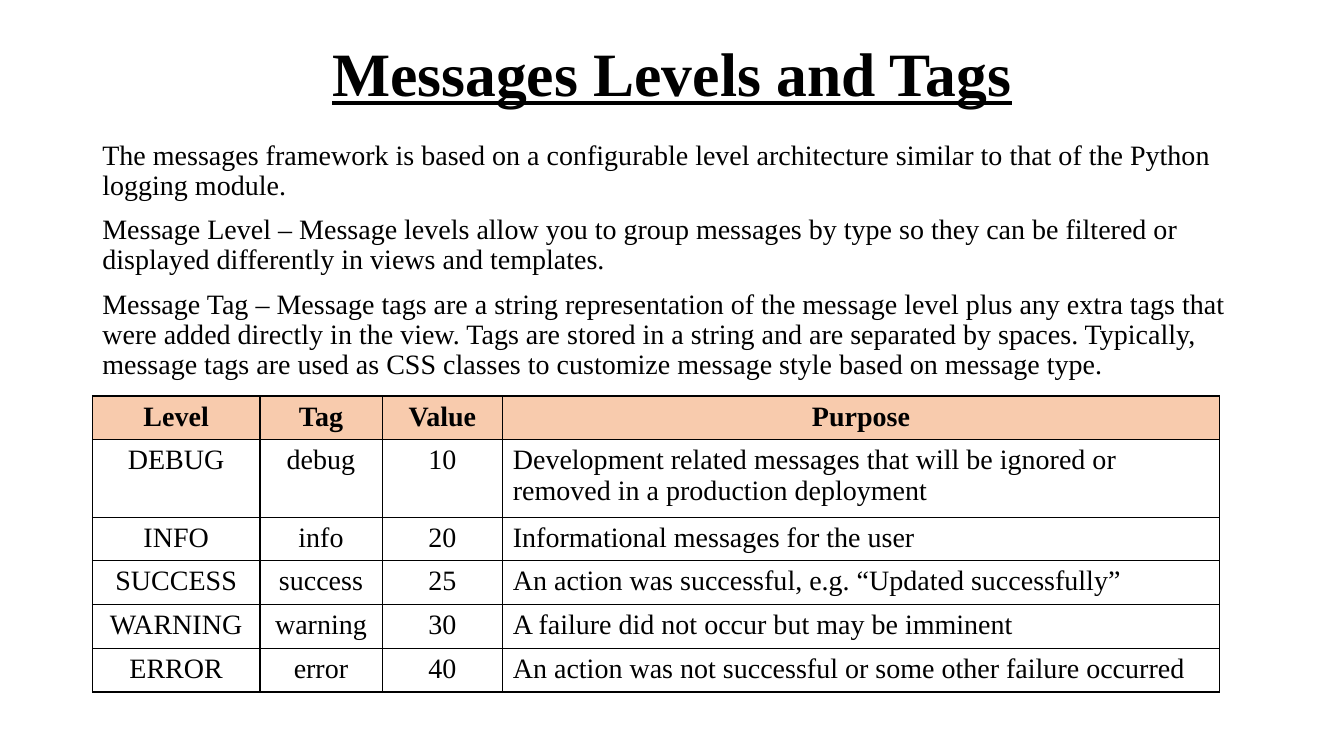
from dataclasses import astuple, dataclass

from lxml import etree
from pptx import Presentation
from pptx.dml.color import RGBColor
from pptx.enum.text import MSO_ANCHOR, PP_ALIGN
from pptx.oxml.ns import qn
from pptx.slide import Slide
from pptx.table import _Cell
from pptx.text.text import _Paragraph
from pptx.util import Cm, Pt

CENTER, LEFT = PP_ALIGN.CENTER, PP_ALIGN.LEFT
TOP, MIDDLE = MSO_ANCHOR.TOP, MSO_ANCHOR.MIDDLE
FONT = "Times New Roman"
COLORS = {"text": "000000", "border": "000000", "header": "F8CBAD"}
MARGIN_LEFT = Cm(2.33)
TEXT_WIDTH = Cm(29.21)
BODY_SIZE = 20
COLUMN_WIDTHS = (4.22, 3.08, 3.04, 18.06)
ROW_HEIGHT = 1.02


@dataclass
class MessageLevel:
    level: str
    tag: str
    value: str
    purpose: str


HEADER = MessageLevel("Level", "Tag", "Value", "Purpose")
LEVELS = [
    MessageLevel("DEBUG", "debug", "10",
                 "Development related messages that will be ignored or "
                 "removed in a production deployment"),
    MessageLevel("INFO", "info", "20", "Informational messages for the user"),
    MessageLevel("SUCCESS", "success", "25",
                 "An action was successful, e.g. “Updated successfully”"),
    MessageLevel("WARNING", "warning", "30",
                 "A failure did not occur but may be imminent"),
    MessageLevel("ERROR", "error", "40",
                 "An action was not successful or some other failure occurred"),
]
EXPLANATION = [
    "The messages framework is based on a configurable level architecture "
    "similar to that of the Python logging module.",
    "Message Level – Message levels allow you to group messages by type so "
    "they can be filtered or displayed differently in views and templates.",
    "Message Tag – Message tags are a string representation of the message "
    "level plus any extra tags that were added directly in the view. Tags are "
    "stored in a string and are separated by spaces. Typically, message tags "
    "are used as CSS classes to customize message style based on message type.",
]


def write(paragraph: _Paragraph, text: str, size: int = BODY_SIZE,
          align: PP_ALIGN = LEFT, bold: bool = False,
          underline: bool = False) -> None:
    paragraph.text = text
    paragraph.alignment = align
    for run in paragraph.runs:
        run.font.name = FONT
        run.font.size = Pt(size)
        run.font.bold = bold
        run.font.underline = underline
        run.font.color.rgb = RGBColor.from_string(COLORS["text"])


def add_text(slide: Slide, paragraphs: list[str], top: float, height: float,
             anchor: MSO_ANCHOR = TOP, **style) -> None:
    frame = slide.shapes.add_textbox(
        MARGIN_LEFT, Cm(top), TEXT_WIDTH, Cm(height)).text_frame
    frame.word_wrap = True
    frame.vertical_anchor = anchor
    for index, text in enumerate(paragraphs):
        paragraph = frame.add_paragraph() if index else frame.paragraphs[0]
        write(paragraph, text, **style)
        paragraph.line_spacing = 0.9
        if index:
            paragraph.space_before = Pt(10)


def add_borders(cell: _Cell) -> None:
    properties = cell._tc.get_or_add_tcPr()
    for position, side in enumerate(("a:lnL", "a:lnR", "a:lnT", "a:lnB")):
        line = etree.Element(qn(side), w=str(Pt(1)))
        fill = etree.SubElement(line, qn("a:solidFill"))
        etree.SubElement(fill, qn("a:srgbClr"), val=COLORS["border"])
        properties.insert(position, line)


def add_level_table(slide: Slide) -> None:
    rows = [HEADER, *LEVELS]
    table = slide.shapes.add_table(
        len(rows), len(COLUMN_WIDTHS), MARGIN_LEFT, Cm(9.98),
        Cm(sum(COLUMN_WIDTHS)), Cm(ROW_HEIGHT * len(rows))).table
    for column, width in zip(table.columns, COLUMN_WIDTHS):
        column.width = Cm(width)
    for row, entry in zip(table.rows, rows):
        is_header = entry is HEADER
        for cell, (field, text) in zip(row.cells, enumerate(astuple(entry))):
            is_purpose = field == len(COLUMN_WIDTHS) - 1
            align = LEFT if is_purpose and not is_header else CENTER
            write(cell.text_frame.paragraphs[0], text, align=align,
                  bold=is_header)
            if is_header:
                cell.fill.solid()
                cell.fill.fore_color.rgb = RGBColor.from_string(
                    COLORS["header"])
            else:
                cell.fill.background()
            add_borders(cell)


def main() -> None:
    presentation = Presentation()
    presentation.slide_width = Cm(33.87)
    presentation.slide_height = Cm(19.05)
    slide = presentation.slides.add_slide(presentation.slide_layouts[6])
    add_text(slide, ["Messages Levels and Tags"], 0.08, 3.68, MIDDLE,
             size=44, align=CENTER, bold=True, underline=True)
    add_text(slide, EXPLANATION, 3.43, 7.77)
    add_level_table(slide)
    presentation.save("out.pptx")


if __name__ == "__main__":
    main()
